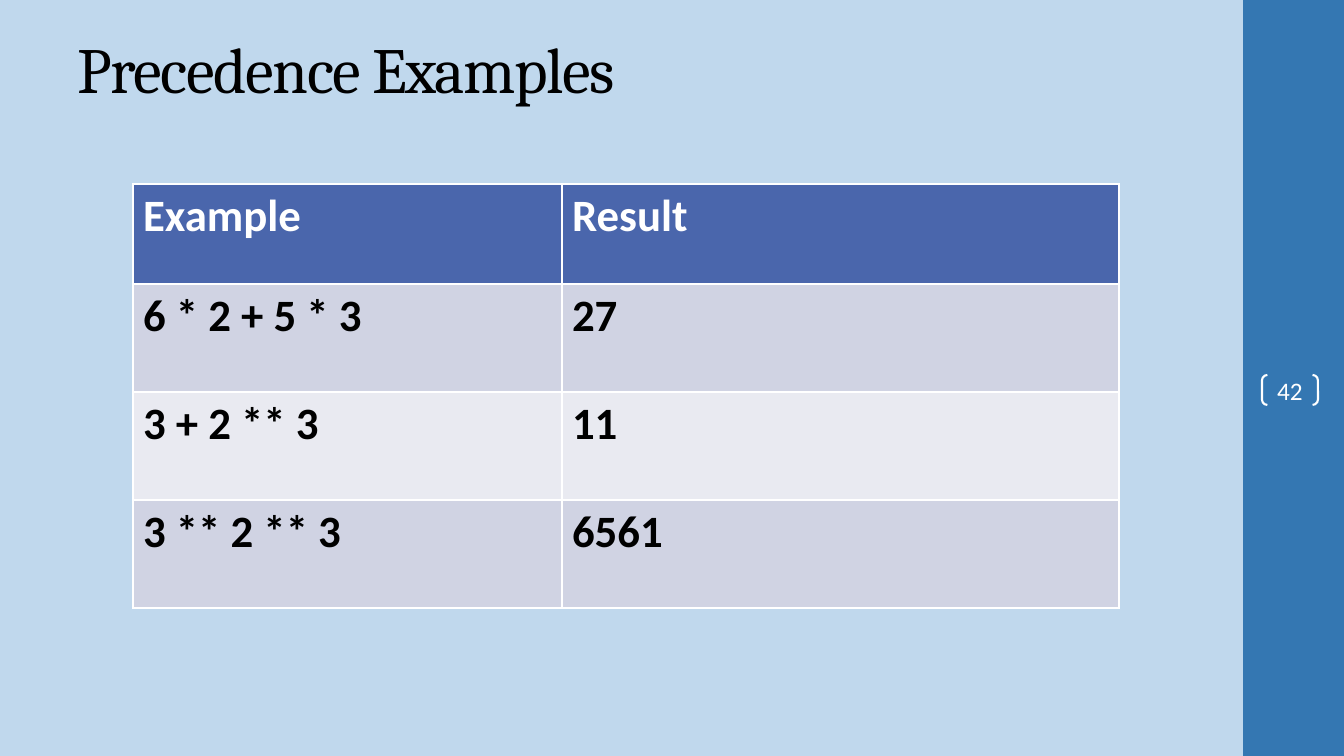
from lxml.etree import SubElement
from pptx import Presentation
from pptx.dml.color import RGBColor
from pptx.enum.shapes import MSO_SHAPE
from pptx.enum.text import MSO_ANCHOR, PP_ALIGN
from pptx.oxml.ns import qn
from pptx.util import Emu, Pt

EMU_PER_PX = 914400 / 100.8
SLIDE_WIDTH, SLIDE_HEIGHT = 1344, 756

COLORS = {
    "background": "C0D8ED",
    "sidebar": "3477B2",
    "header": "4A66AC",
    "odd_row": "D0D3E3",
    "even_row": "E9EAF1",
    "dark": "000000",
    "light": "FFFFFF",
}

PRECEDENCE = [
    ("Example", "Result"),
    ("6 * 2 + 5 * 3", "27"),
    ("3 + 2 ** 3", "11"),
    ("3 ** 2 ** 3", "6561"),
]
COLUMN_WIDTHS = (429, 557)
HEADER_HEIGHT, ROW_HEIGHT = 100, 108


def px(length):
    return Emu(round(length * EMU_PER_PX))


def box(left, top, width, height):
    return px(left), px(top), px(width), px(height)


def color(name):
    return RGBColor.from_string(COLORS[name])


def paint(fill, name):
    fill.solid()
    fill.fore_color.rgb = color(name)


def write(frame, text, font, size, color_name, bold=False):
    frame.text = text
    run = frame.paragraphs[0].runs[0]
    run.font.name = font
    run.font.size = Pt(size)
    run.font.bold = bold
    run.font.color.rgb = color(color_name)
    return run


def add_title(slide, text):
    title = slide.shapes.add_textbox(*box(68, 23, 1120, 90))
    frame = title.text_frame
    frame.word_wrap = True
    frame.vertical_anchor = MSO_ANCHOR.MIDDLE
    run = write(frame, text, "Cambria", 46, "dark")
    run.font._element.set("spc", "-100")


def add_sidebar(slide):
    sidebar = slide.shapes.add_shape(
        MSO_SHAPE.RECTANGLE, *box(1243, 0, SLIDE_WIDTH - 1243, SLIDE_HEIGHT))
    sidebar.shadow.inherit = False
    paint(sidebar.fill, "sidebar")
    sidebar.line.fill.background()


def add_page_number(slide, number):
    brackets = slide.shapes.add_shape(
        MSO_SHAPE.DOUBLE_BRACKET, *box(1262, 375, 56, 30))
    brackets.adjustments[0] = 0.18
    brackets.shadow.inherit = False
    brackets.fill.background()
    brackets.line.color.rgb = color("light")
    brackets.line.width = Pt(1.5)
    frame = brackets.text_frame
    frame.margin_left = frame.margin_right = 0
    frame.margin_top = frame.margin_bottom = 0
    frame.vertical_anchor = MSO_ANCHOR.MIDDLE
    write(frame, number, "Calibri", 18, "light")
    frame.paragraphs[0].alignment = PP_ALIGN.CENTER


def add_borders(cell):
    """Draw a thin light line on all four sides; call before filling the cell."""
    properties = cell._tc.get_or_add_tcPr()
    for side in ("a:lnL", "a:lnR", "a:lnT", "a:lnB"):
        line = SubElement(properties, qn(side), w=str(Pt(1)))
        solid = SubElement(line, qn("a:solidFill"))
        SubElement(solid, qn("a:srgbClr"), val=COLORS["light"])


def add_precedence_table(slide):
    height = HEADER_HEIGHT + ROW_HEIGHT * (len(PRECEDENCE) - 1)
    table = slide.shapes.add_table(
        len(PRECEDENCE), len(COLUMN_WIDTHS),
        *box(133, 184, sum(COLUMN_WIDTHS), height)).table
    for column, width in zip(table.columns, COLUMN_WIDTHS):
        column.width = px(width)
    for index, texts in enumerate(PRECEDENCE):
        is_header = index == 0
        table.rows[index].height = px(HEADER_HEIGHT if is_header else ROW_HEIGHT)
        band = "header" if is_header else "odd_row" if index % 2 else "even_row"
        for cell, text in zip(table.rows[index].cells, texts):
            add_borders(cell)
            paint(cell.fill, band)
            write(cell.text_frame, text, "Calibri", 32,
                  "light" if is_header else "dark", bold=True)


def main():
    presentation = Presentation()
    presentation.slide_width = px(SLIDE_WIDTH)
    presentation.slide_height = px(SLIDE_HEIGHT)
    slide = presentation.slides.add_slide(presentation.slide_layouts[6])
    paint(slide.background.fill, "background")
    add_sidebar(slide)
    add_title(slide, "Precedence Examples")
    add_page_number(slide, "42")
    add_precedence_table(slide)
    presentation.save("out.pptx")


if __name__ == "__main__":
    main()
